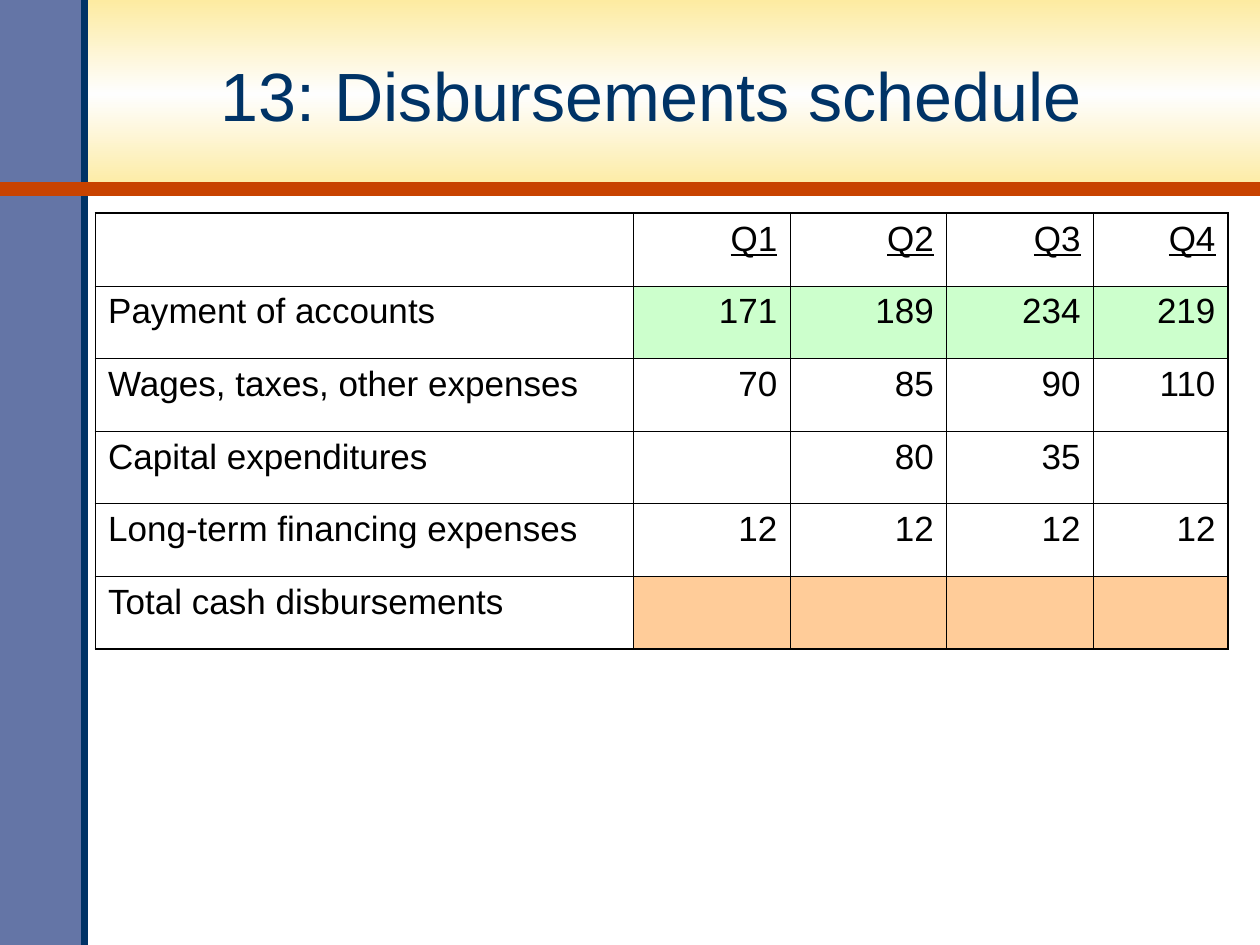
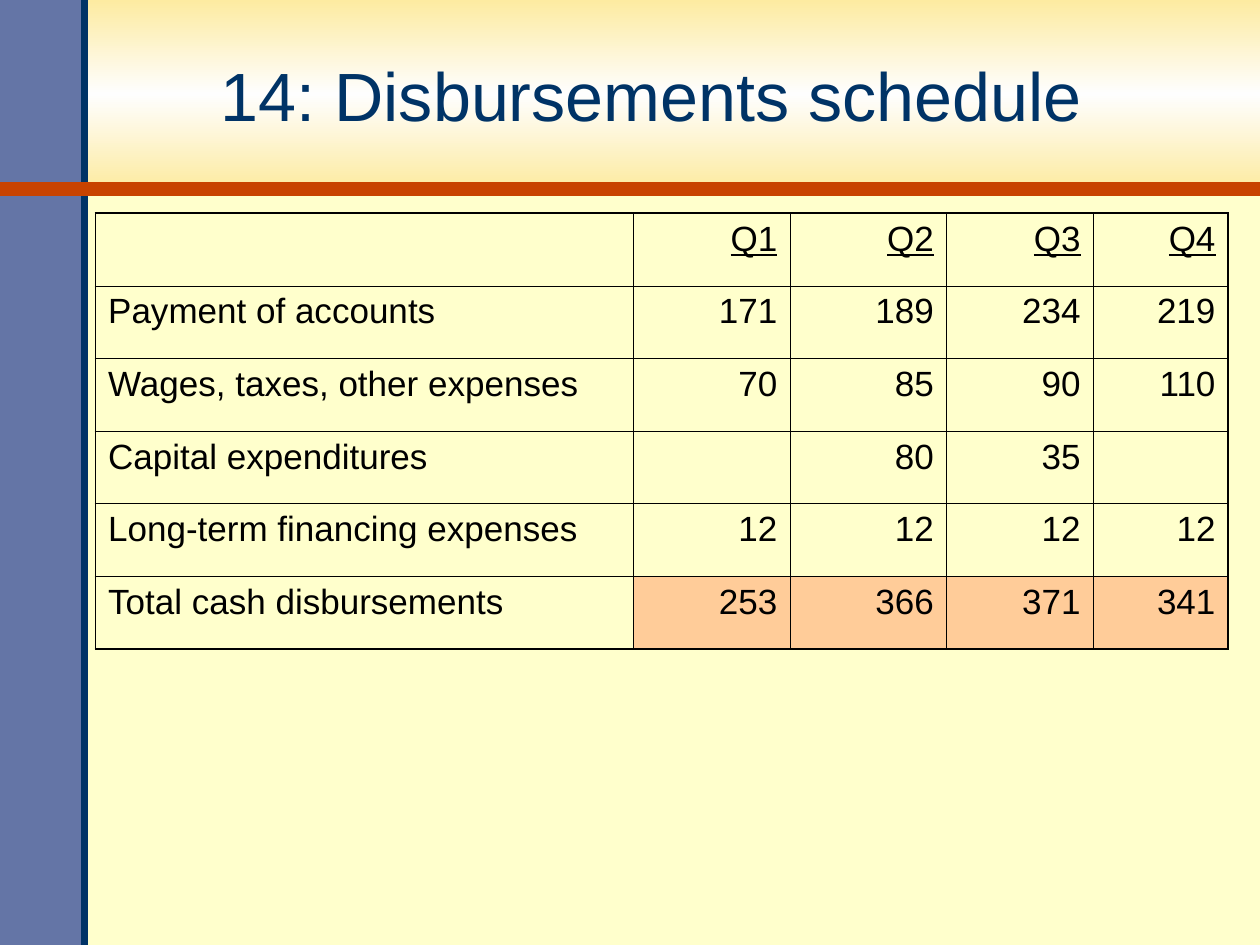
"""Build two slides showing a disbursements schedule, first without totals and then with them."""
from copy import deepcopy

from lxml import etree
from pptx import Presentation
from pptx.dml.color import RGBColor
from pptx.enum.shapes import MSO_CONNECTOR, MSO_SHAPE
from pptx.enum.text import MSO_ANCHOR, PP_ALIGN
from pptx.oxml.ns import qn
from pptx.util import Pt

RECT = MSO_SHAPE.RECTANGLE
STRAIGHT = MSO_CONNECTOR.STRAIGHT
MIDDLE = MSO_ANCHOR.MIDDLE
LEFT, CENTER, RIGHT = PP_ALIGN.LEFT, PP_ALIGN.CENTER, PP_ALIGN.RIGHT

QUARTERS = ["", "Q1", "Q2", "Q3", "Q4"]
EXPENSES = [
    ["Payment of accounts", "171", "189", "234", "219"],
    ["Wages, taxes, other expenses", "70", "85", "90", "110"],
    ["Capital expenditures", "", "80", "35", ""],
    ["Long-term financing expenses", "12", "12", "12", "12"],
]
TOTAL_LABEL = "Total cash disbursements"
PAYMENT_ROW, TOTAL_ROW = 1, 5
SLIDES = [
    {"title": "13: Disbursements schedule", "background": "white",
     "totals": ["", "", "", ""],
     "row_fills": {PAYMENT_ROW: "green", TOTAL_ROW: "orange"}},
    {"title": "14: Disbursements schedule", "background": "cream",
     "totals": ["253", "366", "371", "341"],
     "row_fills": {TOTAL_ROW: "orange"}},
]

COLORS = {
    "white": "FFFFFF", "cream": "FFFFCC", "black": "000000", "navy": "003366",
    "slate": "6475A6", "rust": "C84300", "gold": "FDEBA1", "pale": "FEFEFE",
    "green": "CCFFCC", "orange": "FFCC99",
}
FONT = "Arial"
WIDTH, HEIGHT = 720, 540
BAND_HEIGHT, SIDEBAR_WIDTH = 108, 48.24
TITLE_BOX = (46.8, 10.8, 650.9, 86.4)
TABLE_LEFT, TABLE_TOP, ROW_HEIGHT = 54.6, 121.9, 41.5
COLUMN_WIDTHS = [307.5, 89.4, 89.4, 83.9, 77.1]
OUTER_LINE, INNER_LINE = 1.08, 0.45


def rgb(name):
    return RGBColor.from_string(COLORS[name])


def set_font(p, size, color):
    p.font.name, p.font.size = FONT, Pt(size)
    p.font.color.rgb = rgb(color)


def add_rect(s, width, height):
    sp = s.shapes.add_shape(RECT, 0, 0, Pt(width), Pt(height))
    sp.shadow.inherit = False
    sp.line.fill.background()
    return sp


def add_line(s, x1, y1, x2, y2, color, width):
    line = s.shapes.add_connector(STRAIGHT, Pt(x1), Pt(y1), Pt(x2), Pt(y2))
    line.line.color.rgb = rgb(color)
    line.line.width = Pt(width)
    etree.SubElement(line._element.spPr, qn("a:effectLst"))


def add_frame(s, background):
    s.background.fill.solid()
    s.background.fill.fore_color.rgb = rgb(background)
    band = add_rect(s, WIDTH, BAND_HEIGHT)
    band.fill.gradient()
    band.fill.gradient_angle = 90
    stops = band._element.xpath(".//a:gsLst")[0]
    stops.insert(1, deepcopy(stops[0]))
    for stop, color, position in zip(band.fill.gradient_stops, ("gold", "pale", "gold"), (0, 0.5, 1)):
        stop.color.rgb = rgb(color)
        stop.position = position
    sidebar = add_rect(s, SIDEBAR_WIDTH, HEIGHT)
    sidebar.fill.solid()
    sidebar.fill.fore_color.rgb = rgb("slate")
    add_line(s, SIDEBAR_WIDTH, HEIGHT, SIDEBAR_WIDTH, 0, "navy", 4)
    add_line(s, 0, BAND_HEIGHT, WIDTH, BAND_HEIGHT, "rust", 8)


def add_title(s, text):
    tf = s.shapes.add_textbox(*map(Pt, TITLE_BOX)).text_frame
    tf.word_wrap = True
    tf.vertical_anchor = MIDDLE
    p = tf.paragraphs[0]
    p.text, p.alignment = text, CENTER
    set_font(p, 39, "navy")


def set_borders(cell, edges):
    tcPr = cell._tc.get_or_add_tcPr()
    for i, (side, outer) in enumerate(edges.items()):
        width = Pt(OUTER_LINE if outer else INNER_LINE)
        ln = etree.Element(qn(f"a:ln{side}"), w=str(int(width)))
        fill = etree.SubElement(ln, qn("a:solidFill"))
        etree.SubElement(fill, qn("a:srgbClr"), val=COLORS["black"])
        tcPr.insert(i, ln)


def add_schedule(s, rows, row_fills):
    n_rows, n_cols = len(rows), len(COLUMN_WIDTHS)
    table = s.shapes.add_table(n_rows, n_cols, Pt(TABLE_LEFT), Pt(TABLE_TOP),
                               Pt(sum(COLUMN_WIDTHS)), Pt(n_rows * ROW_HEIGHT)).table
    table.first_row = table.horz_banding = False
    for column, width in zip(table.columns, COLUMN_WIDTHS):
        column.width = Pt(width)
    for r, values in enumerate(rows):
        table.rows[r].height = Pt(ROW_HEIGHT)
        for c, value in enumerate(values):
            cell = table.cell(r, c)
            p = cell.text_frame.paragraphs[0]
            p.text, p.alignment = value, RIGHT if c else LEFT
            set_font(p, 20, "black")
            if r == 0:
                p.font.underline = True
            if c and r in row_fills:
                cell.fill.solid()
                cell.fill.fore_color.rgb = rgb(row_fills[r])
            else:
                cell.fill.background()
            set_borders(cell, {"L": c == 0, "R": c == n_cols - 1,
                               "T": r == 0, "B": r == n_rows - 1})


def main():
    prs = Presentation()
    prs.slide_width, prs.slide_height = Pt(WIDTH), Pt(HEIGHT)
    for slide in SLIDES:
        s = prs.slides.add_slide(prs.slide_layouts[6])
        add_frame(s, slide["background"])
        add_title(s, slide["title"])
        rows = [QUARTERS, *EXPENSES, [TOTAL_LABEL, *slide["totals"]]]
        add_schedule(s, rows, slide["row_fills"])
    prs.save("out.pptx")


if __name__ == "__main__":
    main()
